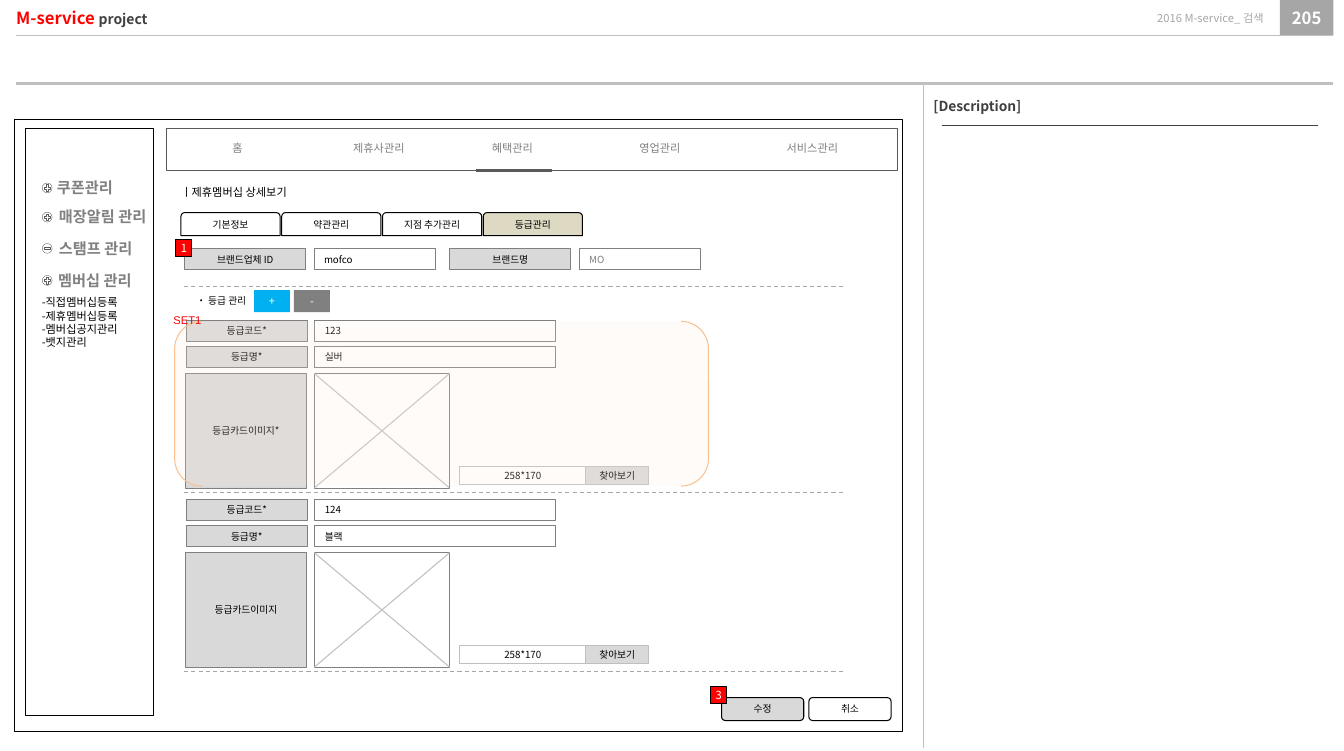
from lxml.etree import SubElement
from pptx import Presentation
from pptx.dml.color import RGBColor
from pptx.enum.dml import MSO_LINE as Dash
from pptx.enum.shapes import MSO_CONNECTOR as Link, MSO_SHAPE as Kind
from pptx.enum.text import MSO_ANCHOR as Anchor, MSO_AUTO_SIZE as Fit, PP_ALIGN as Align
from pptx.oxml.ns import qn
from pptx.util import Cm, Pt

BLACK = RGBColor(0, 0, 0)
WHITE = RGBColor(255, 255, 255)
RED = RGBColor(255, 0, 0)
BLUE = RGBColor(0x00, 0xB0, 0xF0)
INK = RGBColor(0x40, 0x40, 0x40)
DARK = RGBColor(0x59, 0x59, 0x59)
GREY = RGBColor(0x80, 0x80, 0x80)
MID = RGBColor(0xA6, 0xA6, 0xA6)
SOFT = RGBColor(0xBF, 0xBF, 0xBF)
PALE = RGBColor(0xD9, 0xD9, 0xD9)
SAND = RGBColor(0xDD, 0xD9, 0xC3)
PEACH = RGBColor(0xFD, 0xEA, 0xDA)
AMBER = RGBColor(0xFA, 0xC0, 0x90)
FONT = "Noto Sans CJK KR"


def style(run, size, color, bold=False, face=FONT):
    font = run.font
    font.size = Pt(size)
    font.bold = bold
    font.color.rgb = color
    font.name = face
    SubElement(run._r.get_or_add_rPr(), qn("a:ea")).set("typeface", face)


def write(item, words, size=7, color=BLACK, align=Align.CENTER, pad=0.0, bold=False, face=FONT):
    frame = item.text_frame
    frame.word_wrap = True
    frame.auto_size = Fit.NONE
    frame.vertical_anchor = Anchor.MIDDLE
    frame.margin_left = frame.margin_right = Cm(pad)
    frame.margin_top = frame.margin_bottom = 0
    frame.text = words
    for para in frame.paragraphs:
        para.alignment = align
        for run in para.runs:
            style(run, size, color, bold, face)
    return frame


def label(slide, x, y, w, h, words, size=8, color=BLACK, align=Align.LEFT, pad=0.25, **more):
    item = slide.shapes.add_textbox(Cm(x), Cm(y), Cm(w), Cm(h))
    return write(item, words, size, color, align, pad, **more)


def box(slide, x, y, w, h, fill=WHITE, edge=GREY, width=0.75, kind=Kind.RECTANGLE):
    item = slide.shapes.add_shape(kind, Cm(x), Cm(y), Cm(w), Cm(h))
    item.shadow.inherit = False
    if fill is None:
        item.fill.background()
    else:
        item.fill.solid()
        item.fill.fore_color.rgb = fill
    if edge is None:
        item.line.fill.background()
    else:
        item.line.color.rgb = edge
        item.line.width = Pt(width)
    return item


def rule(slide, x, y, x2, y2, color=SOFT, width=0.75, dash=None):
    line = slide.shapes.add_connector(Link.STRAIGHT, Cm(x), Cm(y), Cm(x2), Cm(y2))
    line.line.color.rgb = color
    line.line.width = Pt(width)
    if dash:
        line.line.dash_style = dash
    SubElement(line._element.spPr, qn("a:effectLst"))


def split(slide, y):
    rule(slide, 4.66, y, 21.39, y, MID, dash=Dash.DASH)


def field(slide, x, y, w, words, color=BLACK):
    write(box(slide, x, y, w, 0.53), words, color=color, align=Align.LEFT, pad=0.25)


def tag(slide, x, y, words, w=3.07, h=0.53):
    write(box(slide, x, y, w, h, PALE), words)


def badge(slide, x, y, words):
    write(box(slide, x, y, 0.41, 0.43, RED, BLACK), words, 8, WHITE)


def header(slide):
    box(slide, 32.39, 0, 1.35, 0.89, MID, None)
    rule(slide, 0.41, 2.11, 33.73, 2.11, width=2.25)
    rule(slide, 0.41, 0.89, 33.73, 0.89, width=0.25)
    label(slide, 32.39, 0, 1.35, 0.89, "205", 12, WHITE, Align.CENTER, 0, bold=True)
    label(slide, 26.21, 0, 5.77, 0.89, "2016 M-service_ 검색", 8, MID, Align.RIGHT, 0)
    frame = label(slide, 0.41, 0, 5.21, 0.89, "M-service ", 12, RED, pad=0, bold=True)
    run = frame.paragraphs[0].add_run()
    run.text = "project"
    style(run, 10, INK, True)


def notes(slide):
    label(slide, 23.37, 2.34, 4.39, 0.69, "[Description]", 9.9, INK, bold=True)
    rule(slide, 23.83, 3.18, 33.35, 3.18, INK, 0.5)
    rule(slide, 23.37, 2.16, 23.37, 18.92)


def menu(slide):
    box(slide, 0.64, 3.25, 3.25, 14.86, WHITE, BLACK)
    plus, minus = Kind.MATH_PLUS, Kind.MATH_MINUS
    rows = ((1.19, 4.39, "쿠폰관리", plus), (1.24, 5.13, "매장알림 관리", plus),
            (1.24, 5.92, "스탬프 관리", minus), (1.22, 6.73, "멤버십 관리", plus))
    for x, y, words, sign in rows:
        label(slide, x, y, 3.25, 0.71, words, 10.9, GREY, bold=True)
        box(slide, 1.07, y + 0.24, 0.25, 0.25, WHITE, DARK, 0.25, Kind.OVAL)
        box(slide, 1.08, y + 0.25, 0.23, 0.23, None, DARK, 0.25, sign)
    frame = label(slide, 0.81, 7.34, 3.63, 1.63,
                  "-직접멤버십등록\n-제휴멤버십등록\n-멤버십공지관리\n-뱃지관리")
    for para in frame.paragraphs:
        para.line_spacing = Pt(9.6)


def nav(slide):
    box(slide, 4.22, 3.25, 18.49, 1.07, WHITE, DARK, 0.5)
    names = ("홈", "제휴사관리", "혜택관리", "영업관리", "서비스관리")
    for x, words in zip((4.65, 8.23, 11.61, 15.34, 19.2), names):
        label(slide, x, 3.45, 2.72, 0.58, words, 8, GREY, Align.CENTER)
    rule(slide, 12.04, 4.32, 13.97, 4.32, DARK, 2.25)


def tabs(slide):
    for i, words in enumerate(("기본정보", "약관관리", "지점 추가관리", "등급관리")):
        fill = SAND if words == "등급관리" else WHITE
        tab = box(slide, 4.58 + 2.55 * i, 5.38, 2.51, 0.58, fill, BLACK, kind=Kind.ROUND_2_SAME_RECTANGLE)
        write(tab, words)


def brand(slide):
    tag(slide, 4.67, 6.3, "브랜드업체 ID")
    field(slide, 7.95, 6.3, 3.07, "mofco")
    tag(slide, 11.38, 6.3, "브랜드명")
    field(slide, 14.66, 6.3, 3.07, "MO", GREY)
    split(slide, 7.24)


def tools(slide):
    label(slide, 4.72, 7.32, 3.05, 0.56, "• 등급 관리", 7)
    for x, words, fill in ((6.43, "+", BLUE), (7.44, "-", GREY)):
        write(box(slide, x, 7.34, 0.91, 0.56, fill, None), words, 8, WHITE)


def grade(slide, y, code, name, image):
    tag(slide, 4.71, y, "등급코드*")
    field(slide, 7.97, y, 6.1, code)
    tag(slide, 4.71, y + 0.67, "등급명*")
    field(slide, 7.97, y + 0.67, 6.1, name)
    top, low = y + 1.35, y + 4.25
    tag(slide, 4.69, top, image, h=2.9)
    box(slide, 7.95, top, 3.43, 2.9)
    rule(slide, 7.95, low, 11.38, top)
    rule(slide, 7.95, top, 11.38, low)
    write(box(slide, 11.64, y + 3.71, 3.18, 0.46, WHITE, SOFT), "258*170")
    write(box(slide, 14.82, y + 3.71, 1.6, 0.46, PALE, SOFT), "찾아보기")
    split(slide, y + 4.37)


def panel(slide):
    item = box(slide, 4.42, 8.13, 13.51, 4.17, PEACH, AMBER, kind=Kind.DOUBLE_BRACKET)
    tint = item._element.spPr.find(qn("a:solidFill"))[0]
    SubElement(tint, qn("a:alpha")).set("val", "19000")
    label(slide, 4.14, 7.8, 1.68, 0.58, "SET1", 8, RED, face="Arial")


def main():
    deck = Presentation()
    deck.slide_width, deck.slide_height = Cm(34.01), Cm(19)
    slide = deck.slides.add_slide(deck.slide_layouts[5])
    title = slide.shapes.title
    title.left, title.top, title.width, title.height = Cm(4.34), Cm(4.57), Cm(4.17), Cm(0.58)
    write(title, "ㅣ제휴멤버십 상세보기", 8, align=Align.LEFT, pad=0.25)
    header(slide)
    notes(slide)
    box(slide, 0.38, 3.02, 22.45, 15.49, None, BLACK)
    menu(slide)
    nav(slide)
    tabs(slide)
    brand(slide)
    tools(slide)
    grade(slide, 8.1, "123", "실버", "등급카드이미지*")
    grade(slide, 12.63, "124", "블랙", "등급카드이미지")
    for x, words, fill in ((18.26, "수정", PALE), (20.47, "취소", WHITE)):
        write(box(slide, x, 17.65, 2.08, 0.58, fill, BLACK, kind=Kind.ROUNDED_RECTANGLE), words)
    badge(slide, 4.45, 6.07, "1")
    badge(slide, 17.98, 17.37, "3")
    panel(slide)
    deck.save("out.pptx")


if __name__ == "__main__":
    main()
